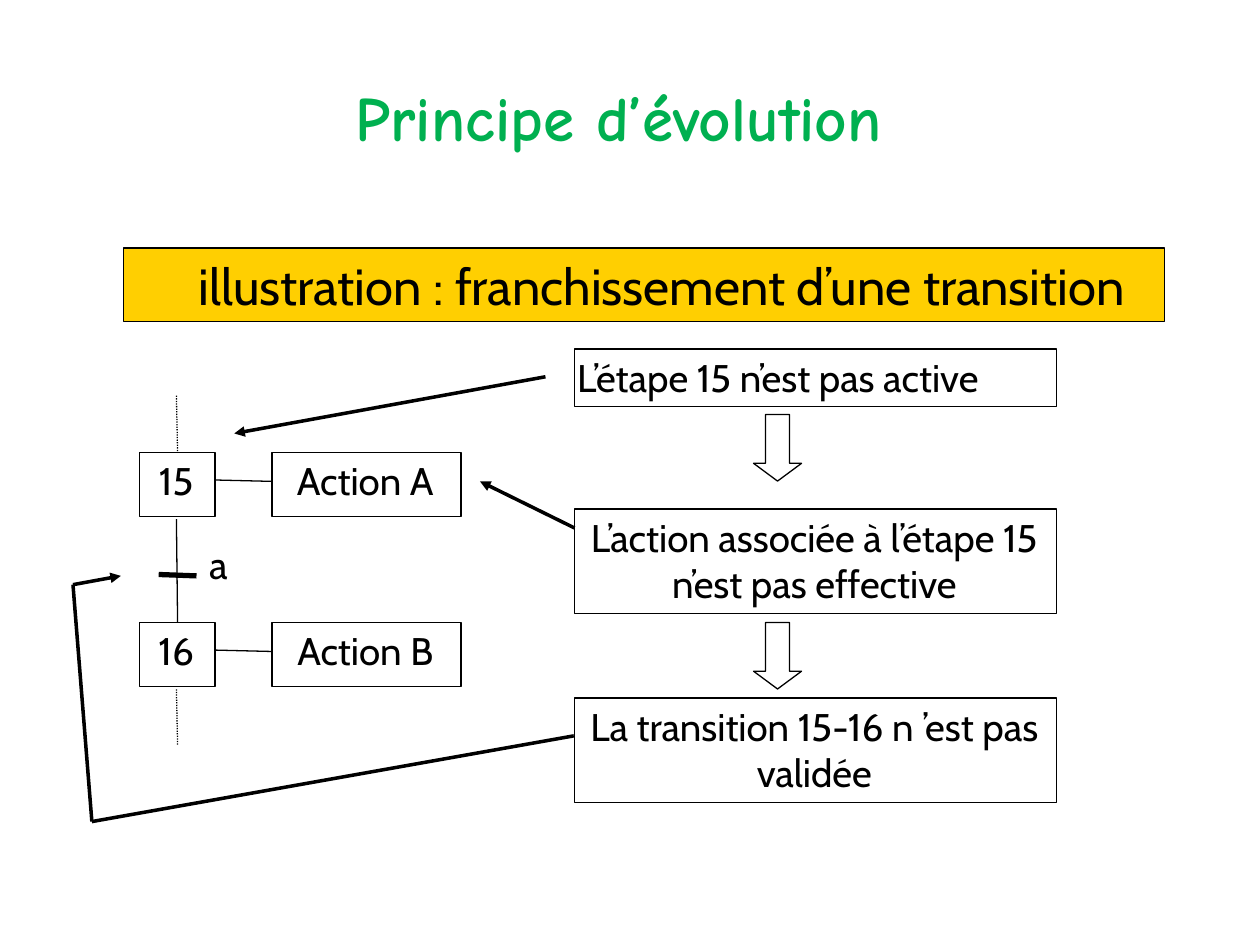
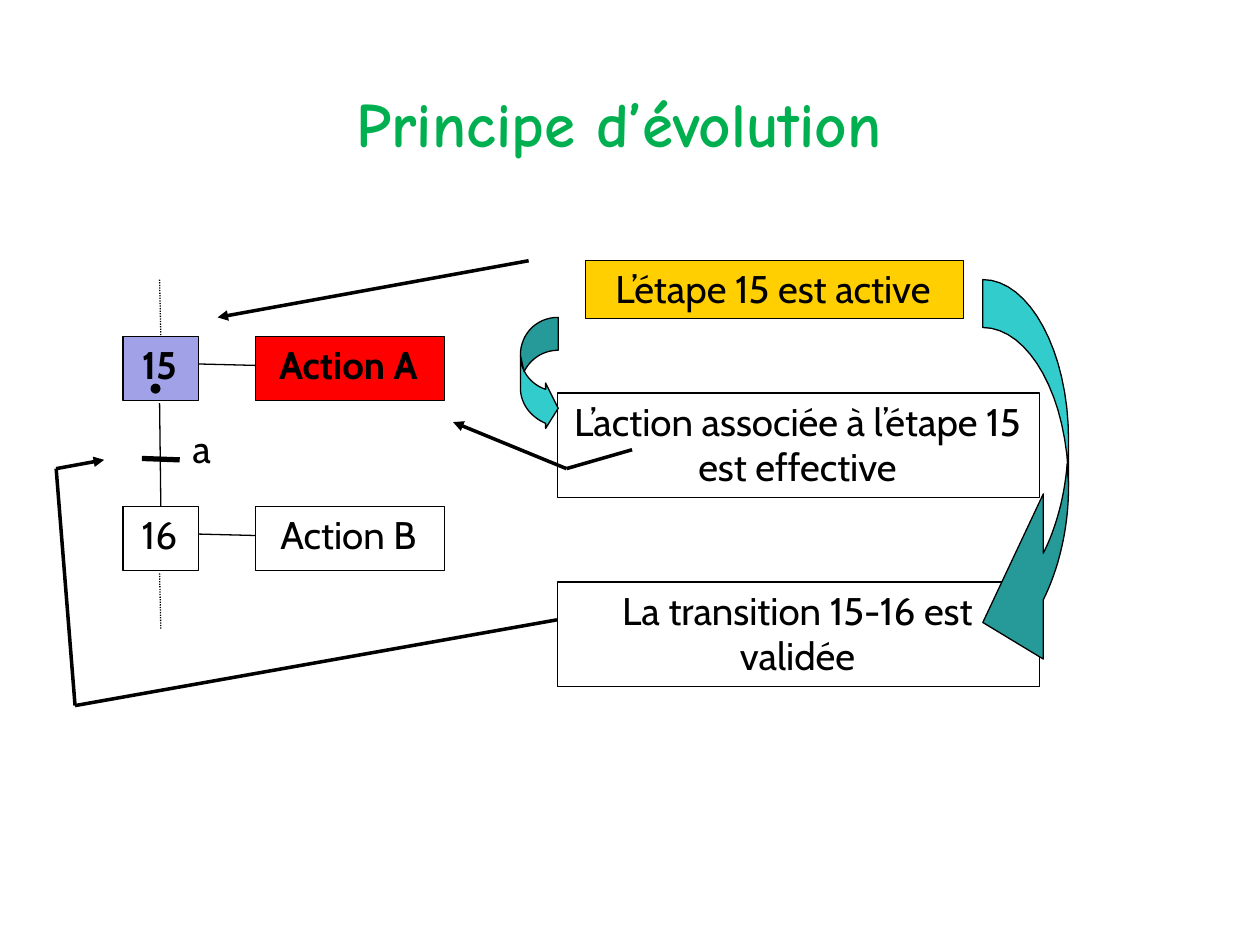
"""Build two slides on how a Grafcet transition becomes validated."""
from dataclasses import dataclass

from lxml.etree import SubElement
from pptx import Presentation
from pptx.dml.color import RGBColor
from pptx.enum.dml import MSO_LINE
from pptx.enum.shapes import MSO_CONNECTOR, MSO_SHAPE
from pptx.enum.text import MSO_ANCHOR as ANCHOR, MSO_AUTO_SIZE as AUTO_SIZE, PP_ALIGN as ALIGN
from pptx.oxml.ns import qn
from pptx.util import Pt


@dataclass(frozen=True)
class Theme:
    """Colours, fonts and line widths shared by the slides."""
    black = RGBColor(0x00, 0x00, 0x00)
    green = RGBColor(0x00, 0xB0, 0x50)
    gold = RGBColor(0xFF, 0xCF, 0x01)
    lilac = RGBColor(0xA1, 0xA1, 0xE8)
    red = RGBColor(0xFF, 0x00, 0x00)
    teal = RGBColor(0x33, 0xCC, 0xCC)
    dark_teal = RGBColor(0x26, 0x99, 0x99)
    thin, bold_line, bar = 0.75, 2, 3


THEME = Theme()
FONTS = {
    "title": {"name": "Comic Neue", "size": Pt(36), "bold": True, "color": THEME.green},
    "gap": {"name": "Arial", "size": Pt(44), "bold": False, "color": THEME.black},
    "banner": {"name": "Cabin", "size": Pt(29), "bold": False, "color": THEME.black},
    "body": {"name": "Cabin", "size": Pt(22), "bold": False, "color": THEME.black},
    "strong": {"name": "Cabin", "size": Pt(22), "bold": True, "color": THEME.black},
}
LEADING = {"banner": 35.1, "body": 26.1, "strong": 26.1}
INSETS = (1.5, 3, 3, 0)

TITLE_BOX = (36, 21.6, 648, 90)
STEP_SIZE, ACTION_SIZE, NOTE_SIZE = (43, 36.7), (108, 36.7), (275.5, 59.6)
ROW_PITCH, NOTE_PITCH = 97.2, 108
ACTION_X, NOTE_X, NOTE_Y = 75.6, 248.4, 32.4
ROWS = [("15", "Action A"), ("16", "Action B")]

GRAPH_LINES = [
    ((20.9, -32.4), (21.6, 0), THEME.thin, {"dash": True}),
    ((20.9, 38.2), (21.6, 97.2), THEME.thin, {}),
    ((10.8, 69.8), (32.4, 70.6), THEME.bar, {}),
    ((20.9, 135.4), (21.6, 167), THEME.thin, {"dash": True}),
    ((231.8, -43.2), (54, -10.8), THEME.bold_line, {"arrow": True}),
    ((-38.2, 75.6), (-10.8, 70.6), THEME.bold_line, {"arrow": True}),
    ((-38.2, 75.6), (-27.4, 211), THEME.bold_line, {}),
    ((-27.4, 211), (248, 162), THEME.bold_line, {}),
]

SLIDES = [
    {
        "title": [("Principe d’évolution ", "title")],
        "origin": (79.9, 258.5),
        "status": ("L’étape 15 n’est pas active", (248.4, -59, 275.5, 33), None, ALIGN.LEFT),
        "notes": ["L’action associée à l’étape 15 n’est pas effective",
                  "La transition 15-16 n ’est pas validée"],
        "active": {},
        "action_lines": [((248.4, 43.2), (194.4, 16.6), True)],
    },
    {
        "title": [("Principe", "title"), (" ", "gap"), ("d’évolution", "title"), (" ", "gap")],
        "origin": (70.3, 192.2),
        "status": ("L’étape 15 est active", (264.2, -43.2, 216, 33), THEME.gold, ALIGN.CENTER),
        "notes": ["L’action associée à l’étape 15 est effective",
                  "La transition 15-16 est\vvalidée"],
        "active": {"15": THEME.lilac, "Action A": THEME.red},
        "action_lines": [((253.4, 75.6), (188.6, 49), True), ((290.9, 64.8), (253.4, 75.6), False)],
    },
]

BANNER = ("illustration : franchissement d’une transition", (70.6, 141.8, 594.7, 41.8))
DOWN_ARROWS = [(430.6, 236.9, 27.4, 38), (430.6, 355.7, 27.4, 38)]
TOKEN = (86.4, 219.6, 5, 5)
RIBBONS = [
    (THEME.teal, (561.6, 159.8), [
        [(588.2, 159.8), (610.6, 200.9), (610.6, 251.3)], [(610.6, 277.9)],
        [(610.6, 227.5), (588.2, 187.2), (561.6, 187.2)]]),
    (THEME.dark_teal, (610.6, 277.9), [
        [(610.6, 302.4), (604.8, 325.4), (596.2, 342.7)],
        [(596.2, 376.6)], [(561.6, 355.7)], [(596.2, 282.2)], [(596.2, 316.1)],
        [(603.4, 301.7), (608.4, 283.7), (609.8, 265)],
        [(609.8, 269.3), (610.6, 273.6), (610.6, 277.9)]]),
    (THEME.teal, (297.4, 221.8), [
        [(297.4, 230.4), (303.1, 238.3), (311.8, 241.9)],
        [(311.8, 244.8)], [(319, 233.3)], [(311.8, 218.9)], [(311.8, 222.5)],
        [(303.1, 219.6), (297.4, 211.7), (297.4, 203)]]),
    (THEME.dark_teal, (319, 181.4), [
        [(306.7, 181.4), (297.4, 190.8), (297.4, 203)], [(299.5, 212.4)],
        [(303.1, 205.2), (310.3, 200.2), (319, 200.2)]]),
]


def apply(target, values):
    """Set each named attribute of the target."""
    for name, value in values.items():
        if name == "color":
            target.color.rgb = value
        else:
            setattr(target, name, value)


def points(values):
    """Convert numbers to point lengths."""
    return [Pt(value) for value in values]


def paint(shape, fill=None):
    """Give a shape its fill, thin outline and no shadow."""
    shape.shadow.inherit = False
    if fill is None:
        shape.fill.background()
    else:
        shape.fill.solid()
        shape.fill.fore_color.rgb = fill
    apply(shape.line, {"color": THEME.black, "width": Pt(THEME.thin)})


def write(shape, text, style="body", align=ALIGN.CENTER, insets=INSETS):
    """Write one paragraph at the top of a shape."""
    frame = shape.text_frame
    margins = zip(("margin_left", "margin_top", "margin_right", "margin_bottom"), points(insets))
    apply(frame, {"word_wrap": True, "vertical_anchor": ANCHOR.TOP, **dict(margins)})
    paragraph = frame.paragraphs[0]
    paragraph.text = text
    apply(paragraph, {"alignment": align, "line_spacing": Pt(LEADING[style])})
    for run in paragraph.runs:
        apply(run.font, FONTS[style])


def add_preset(slide, kind, box, fill=None):
    """Add a painted preset shape."""
    shape = slide.shapes.add_shape(kind, *points(box))
    paint(shape, fill)
    return shape


def add_box(slide, text, box, fill=None, **text_format):
    """Add an outlined rectangle with text."""
    write(add_preset(slide, MSO_SHAPE.RECTANGLE, box, fill), text, **text_format)


def add_line(slide, start, end, width, dash=False, arrow=False):
    """Add a straight black line, dotted or with an arrowhead if asked."""
    connector = slide.shapes.add_connector(MSO_CONNECTOR.STRAIGHT, *points((*start, *end)))
    apply(connector.line, {"color": THEME.black, "width": Pt(width)})
    if dash:
        connector.line.dash_style = MSO_LINE.ROUND_DOT
    properties = connector._element.spPr
    if arrow:
        SubElement(properties.find(qn("a:ln")), qn("a:tailEnd"), type="triangle")
    SubElement(properties, qn("a:effectLst"))


def bezier(start, first, second, end, steps=16):
    """Sample a cubic curve, leaving out its start."""
    for step in range(1, steps + 1):
        t = step / steps
        weights = ((1 - t) ** 3, 3 * t * (1 - t) ** 2, 3 * t ** 2 * (1 - t), t ** 3)
        yield tuple(sum(weight * value for weight, value in zip(weights, axis))
                    for axis in zip(start, first, second, end))


def add_ribbon(slide, fill, start, segments):
    """Add one half of a curved arrow, from lines and cubic curves."""
    outline = [start]
    for segment in segments:
        outline.extend(bezier(outline[-1], *segment) if len(segment) == 3 else segment)
    builder = slide.shapes.build_freeform(*points(start))
    builder.add_line_segments([points(point) for point in outline[1:]], close=True)
    paint(builder.convert_to_shape(), fill)


def add_title(slide, runs):
    """Place and fill the title placeholder."""
    title = slide.shapes.title
    apply(title, dict(zip(("left", "top", "width", "height"), points(TITLE_BOX))))
    apply(title.text_frame, {"vertical_anchor": ANCHOR.MIDDLE, "auto_size": AUTO_SIZE.NONE})
    paragraph = title.text_frame.paragraphs[0]
    paragraph.alignment = ALIGN.CENTER
    for text, style in runs:
        run = paragraph.add_run()
        run.text = text
        apply(run.font, FONTS[style])


def add_graph(slide, content):
    """Draw the steps, actions, notes and pointers from the slide's origin."""
    left, top = content["origin"]

    def at(x, y, *size):
        return (left + x, top + y, *size)

    for row, (step, action) in enumerate(ROWS):
        y = row * ROW_PITCH
        for text, x, size in ((step, 0, STEP_SIZE), (action, ACTION_X, ACTION_SIZE)):
            fill = content["active"].get(text)
            add_box(slide, text, at(x, y, *size), fill, style="strong" if fill else "body")
        add_line(slide, at(STEP_SIZE[0], y + 15.8), at(ACTION_X, y + 16.6), THEME.thin)

    label = slide.shapes.add_textbox(*points(at(39.6, 51.1, 27, 26)))
    write(label, "a", align=ALIGN.LEFT, insets=(0, 0, 0, 0))

    text, box, fill, align = content["status"]
    add_box(slide, text, at(*box), fill, align=align)
    for row, text in enumerate(content["notes"]):
        add_box(slide, text, at(NOTE_X, NOTE_Y + row * NOTE_PITCH, *NOTE_SIZE))

    for start, end, width, options in GRAPH_LINES:
        add_line(slide, at(*start), at(*end), width, **options)
    for start, end, arrow in content["action_lines"]:
        add_line(slide, at(*start), at(*end), THEME.bold_line, arrow=arrow)


def main():
    """Build and save the presentation."""
    presentation = Presentation()
    presentation.slide_width, presentation.slide_height = points((720, 540))
    slides = []
    for content in SLIDES:
        slide = presentation.slides.add_slide(presentation.slide_layouts[5])
        add_title(slide, content["title"])
        add_graph(slide, content)
        slides.append(slide)
    inactive, active = slides

    text, box = BANNER
    add_box(inactive, text, box, THEME.gold, style="banner", insets=(20.9, 3.6, 0, 0))
    for box in DOWN_ARROWS:
        arrow = add_preset(inactive, MSO_SHAPE.DOWN_ARROW, box)
        arrow.adjustments[0], arrow.adjustments[1] = 0.5, 0.37

    add_preset(active, MSO_SHAPE.OVAL, TOKEN, THEME.black)
    for ribbon in RIBBONS:
        add_ribbon(active, *ribbon)
    presentation.save("out.pptx")


if __name__ == "__main__":
    main()
